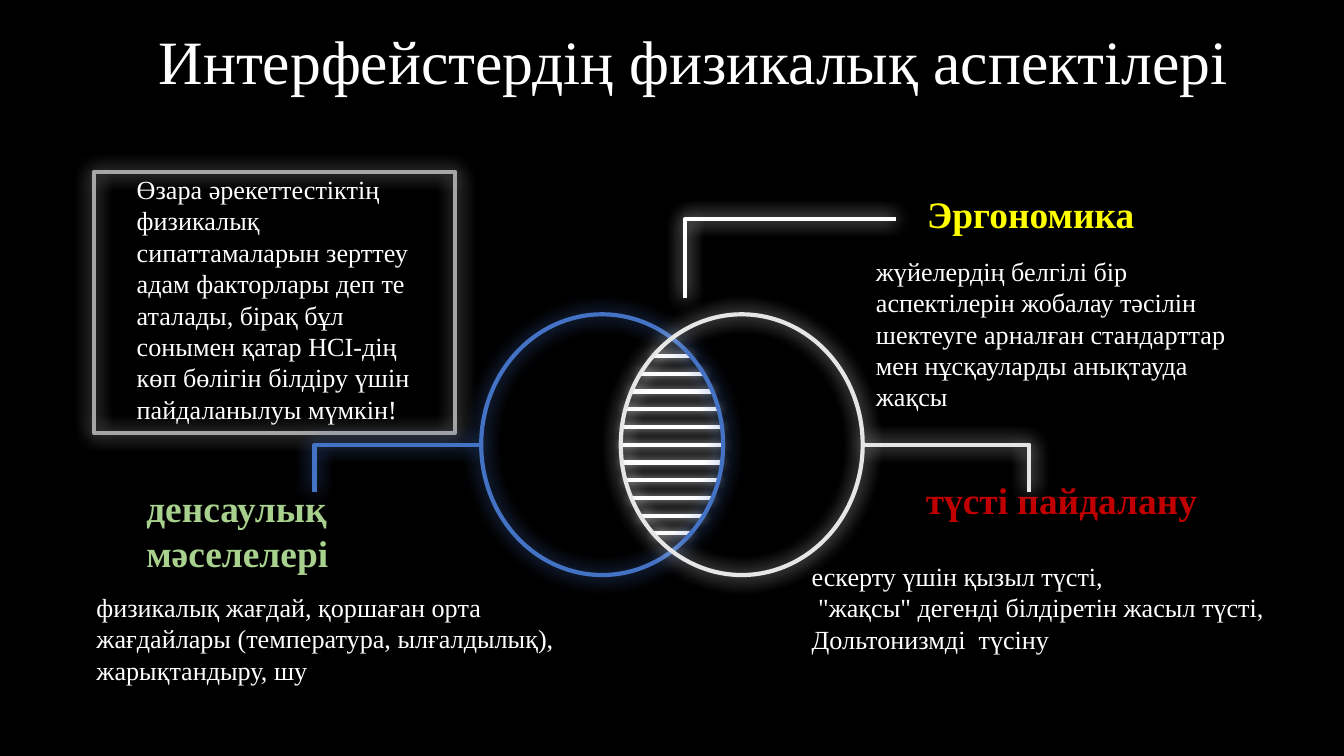
from math import sqrt
from lxml.etree import SubElement
from pptx import Presentation
from pptx.dml.color import RGBColor
from pptx.enum.shapes import MSO_CONNECTOR as Link, MSO_SHAPE as Form
from pptx.enum.text import MSO_ANCHOR as Anchor, MSO_AUTO_SIZE as Fit, PP_ALIGN as Align
from pptx.oxml.ns import qn
from pptx.util import Pt

FONT = "Times New Roman"
HUES = {
    "back": "000000", "white": "FFFFFF", "green": "A9D18E", "red": "C00000",
    "yellow": "FFFF00", "gray": "A5A5A5", "blue": "4472C4", "pale": "E7E6E6",
}


def tint(hue):
    """Return the named colour."""
    return RGBColor.from_string(HUES[hue])


def glow(item, hue, blur=10.1):
    """Give a shape or connector its line and a soft halo of one colour."""
    item.line.color.rgb = tint(hue)
    item.line.width = Pt(2.25)
    halo = SubElement(SubElement(item._element.spPr, qn("a:effectLst")), qn("a:outerShdw"),
                      blurRad=str(Pt(blur)), dist="0", dir="0", algn="ctr", rotWithShape="0")
    SubElement(halo, qn("a:srgbClr"), val=HUES[hue])


def outline(slide, form, x, y, w, h, hue):
    """Draw an unfilled glowing shape."""
    shape = slide.shapes.add_shape(form, Pt(x), Pt(y), Pt(w), Pt(h))
    shape.fill.background()
    glow(shape, hue)


def elbow(slide, x, y, dx, dy, hue):
    """Draw a link that runs sideways first and then down."""
    link = slide.shapes.add_connector(Link.ELBOW, Pt(x), Pt(y), Pt(x + dx), Pt(y + dy))
    marks = link._element.spPr.find(qn("a:prstGeom")).find(qn("a:avLst"))
    SubElement(marks, qn("a:gd"), name="adj1", fmla="val 100000")
    glow(link, hue)


def fill_text(frame, lines, size, hue="white", bold=False, top=0):
    """Set the frame's insets and write one run per paragraph."""
    frame.word_wrap = True
    frame.auto_size = Fit.NONE
    frame.margin_left = frame.margin_right = frame.margin_bottom = Pt(7.2)
    frame.margin_top = Pt(top)
    for i, line in enumerate(lines):
        para = frame.add_paragraph() if i else frame.paragraphs[0]
        run = para.add_run()
        run.text = line
        run.font.name, run.font.size, run.font.bold = FONT, Pt(size), bold
        run.font.color.rgb = tint(hue)


def label(slide, x, y, w, h, lines, size, hue="white", bold=False, top=0):
    """Add a text box and return its frame."""
    frame = slide.shapes.add_textbox(Pt(x), Pt(y), Pt(w), Pt(h)).text_frame
    fill_text(frame, lines, size, hue, bold, top)
    return frame


def head(slide, x, y, w, h, text):
    """Place and format the slide title."""
    title = slide.shapes.title
    title.left, title.top, title.width, title.height = Pt(x), Pt(y), Pt(w), Pt(h)
    frame = title.text_frame
    fill_text(frame, [text], 33, top=7.2)
    frame.vertical_anchor = Anchor.MIDDLE
    frame.paragraphs[0].alignment = Align.CENTER
    frame.paragraphs[0].line_spacing = 0.9


def topic(slide, x, y, w, h, name, hue, shift, drop, lines):
    """Write a coloured heading, shifted from the body text set below it."""
    label(slide, x + shift, y, 164.2, 30.2, [name], 20, hue, True)
    label(slide, x, y + drop, w, h - drop, lines, 14)


def note(slide, x, y, w, h, text):
    """Draw the framed note with its text centred in height."""
    outline(slide, Form.RECTANGLE, x, y, w, h, "gray")
    frame = label(slide, x + 16, y + 31.6, w - 16.6, h - 67, [text], 14, top=7.2)
    frame.vertical_anchor = Anchor.MIDDLE


def venn(slide, x, y, w, h):
    """Draw two crossing rings, the hatched overlap and the three links."""
    ring = 129.6
    mid, axis = x + w / 2, y + h / 2
    inset = w / 2 - ring / 2
    for step in range(-5, 6):
        rise = step * 9.5
        half = ring / 2 * sqrt(1 - (2 * rise / h) ** 2) - inset
        bar = slide.shapes.add_connector(Link.STRAIGHT, Pt(mid - half), Pt(axis + rise),
                                         Pt(mid + half), Pt(axis + rise))
        glow(bar, "white", 5.6)
    for left, edge, dx, hue in ((x, x, -89.3, "blue"),
                                (x + w - ring, x + w, 89.3, "pale")):
        outline(slide, Form.OVAL, left, y, ring, h, hue)
        elbow(slide, edge, axis, dx, 25.2, hue)
    elbow(slide, mid + 120, y - 51.2, -112.8, 42.5, "white")


def main():
    """Build the slide and save it."""
    deck = Presentation()
    deck.slide_width, deck.slide_height = Pt(720), Pt(405)
    slide = deck.slides.add_slide(deck.slide_layouts[5])
    slide.background.fill.solid()
    slide.background.fill.fore_color.rgb = tint("back")
    head(slide, 67.7, 15.8, 607.7, 37.4, "Интерфейстердің физикалық аспектілері")
    topic(slide, 44.6, 260, 260.6, 118.7, "денсаулық мәселелері", "green", 26.7, 56.8,
          ["физикалық жағдай, қоршаған орта жағдайлары (температура, ылғалдылық), "
           "жарықтандыру, шу"])
    topic(slide, 427.7, 255.6, 260.6, 106.5, "түсті пайдалану", "red", 61.2, 44.6,
          ["ескерту үшін қызыл түсті,", ' "жақсы" дегенді білдіретін жасыл түсті,',
           "Дольтонизмді  түсіну"])
    topic(slide, 462.2, 102.2, 201.6, 121, "Эргономика", "yellow", 27.4, 34.6,
          ["жүйелердің белгілі бір аспектілерін жобалау тәсілін шектеуге арналған "
           "стандарттар мен нұсқауларды анықтауда жақсы"])
    note(slide, 50.2, 92.2, 193.7, 139.7,
         "Өзара әрекеттестіктің физикалық сипаттамаларын зерттеу адам факторлары деп те "
         "аталады, бірақ бұл сонымен қатар HCI-дің көп бөлігін білдіру үшін "
         "пайдаланылуы мүмкін!")
    venn(slide, 257.8, 168.4, 204.4, 139.7)
    deck.save("out.pptx")


if __name__ == "__main__":
    main()
